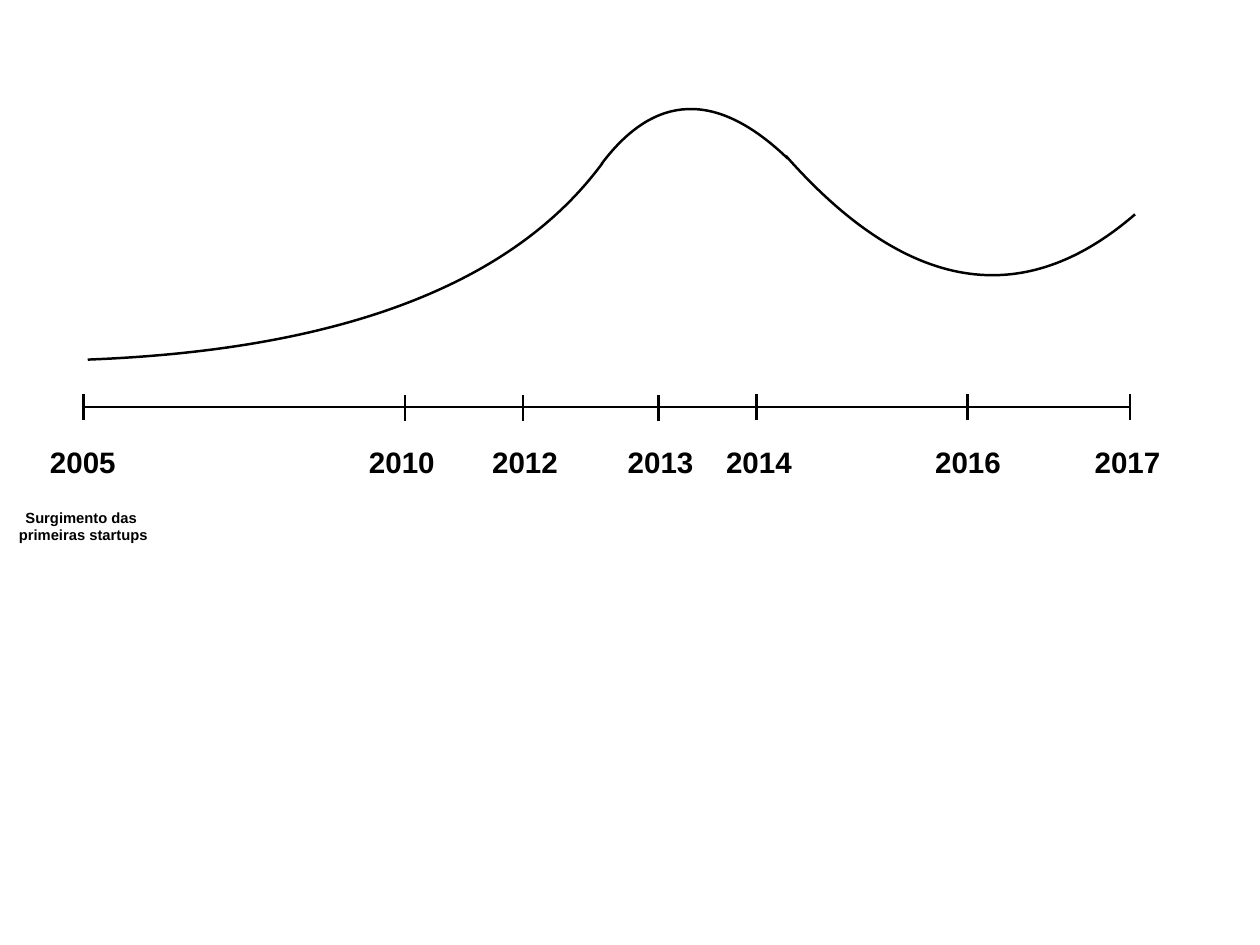
from lxml import etree
from pptx import Presentation
from pptx.dml.color import RGBColor
from pptx.enum.shapes import MSO_CONNECTOR
from pptx.enum.text import MSO_ANCHOR, MSO_AUTO_SIZE, PP_ALIGN
from pptx.oxml.ns import qn
from pptx.util import Inches, Pt

STRAIGHT = MSO_CONNECTOR.STRAIGHT
MIDDLE = MSO_ANCHOR.MIDDLE
CENTER = PP_ALIGN.CENTER
GROW = MSO_AUTO_SIZE.SHAPE_TO_FIT_TEXT

SLIDE_WIDTH, SLIDE_HEIGHT = 14.22, 10.67
INK = "000000"
EXTENT_STEPS = 48
FRAME_FORMAT = {
    "word_wrap": False,
    "auto_size": GROW,
    "vertical_anchor": MIDDLE,
    "margin_left": Inches(0.06),
    "margin_right": Inches(0.06),
    "margin_top": Inches(0.06),
    "margin_bottom": Inches(0.06),
}

CURVE_BOX = (0.99, 1.23, 11.82, 2.83)
CURVE_PIECES = [
    [(5.81, 0.61), (4.81, 1.97), (2.88, 2.72), (0, 2.83)],
    [(5.8, 0.62), (6.4, -0.18), (7.1, -0.21), (7.9, 0.56)],
    [(11.82, 1.19), (10.55, 2.29), (9.24, 2.07), (7.88, 0.53)],
]

AXIS_BOX = (0.94, 4.45, 11.81, 0.29)
LABEL_BOX = (0.5, 4.96, 0.87, 0.5)
NOTE_BOX = (0.15, 5.68, 1.58, 0.52)
YEARS = [
    ("2005", 0, 0, 0),
    ("2010", 3.63, 0.01, 3.6),
    ("2012", 4.96, 0.01, 4.99),
    ("2013", 6.49, 0.01, 6.52),
    ("2014", 7.6, 0, 7.63),
    ("2016", 9.98, 0, 9.99),
    ("2017", 11.81, 0, 11.79),
]
NOTE_LINES = ["Surgimento das ", "primeiras startups"]


def color(value):
    """Turn a hex string into a colour."""
    return RGBColor.from_string(value)


def style_line(shape):
    """Give an outline the slide's ink and weight."""
    shape.line.color.rgb = color(INK)
    shape.line.width = Pt(2)


def add_line(slide, start, end):
    """Draw a straight line without a shadow."""
    points = [Inches(value) for value in (*start, *end)]
    connector = slide.shapes.add_connector(STRAIGHT, *points)
    style_line(connector)
    etree.SubElement(connector._element.spPr, qn("a:effectLst"))


def add_text(slide, box, lines, size):
    """Place centred bold lines in a text box."""
    frame = slide.shapes.add_textbox(*map(Inches, box)).text_frame
    for name, value in FRAME_FORMAT.items():
        setattr(frame, name, value)
    frame.text = "\n".join(lines)
    font_format = {"name": "Arial", "size": Pt(size), "bold": True}
    for paragraph in frame.paragraphs:
        paragraph.alignment = CENTER
        font = paragraph.runs[0].font
        font.color.rgb = color(INK)
        for name, value in font_format.items():
            setattr(font, name, value)


def bezier_point(controls, share):
    """Return the point at a share of a cubic curve."""
    rest = 1 - share
    weights = (rest**3, 3 * rest**2 * share, 3 * rest * share**2, share**3)
    return [
        round(sum(weight * value for weight, value in zip(weights, axis)))
        for axis in zip(*controls)
    ]


def add_bezier(shapes, controls):
    """Draw one cubic segment in a shape that fits its extent."""
    points = [
        bezier_point(controls, step / EXTENT_STEPS)
        for step in range(EXTENT_STEPS + 1)
    ]
    builder = shapes.build_freeform(*points[0])
    builder.add_line_segments(points[1:], close=False)
    shape = builder.convert_to_shape()
    outline = next(shape._element.iter(qn("a:path")))
    for segment in outline.findall(qn("a:lnTo")):
        outline.remove(segment)
    cubic = etree.SubElement(outline, qn("a:cubicBezTo"))
    for x, y in controls[1:]:
        point = etree.SubElement(cubic, qn("a:pt"))
        point.set("x", str(x - shape.left))
        point.set("y", str(y - shape.top))
    shape.shadow.inherit = False
    shape.fill.background()
    style_line(shape)


def add_curve(slide, box, pieces):
    """Draw the grouped growth curve inside the box."""
    left, top = box[:2]
    group = slide.shapes.add_group_shape()
    for piece in pieces:
        controls = [(Inches(left + x), Inches(top + y)) for x, y in piece]
        add_bezier(group.shapes, controls)


def add_axis(slide, box, years):
    """Draw the time axis with a tick for each year."""
    left, top, width, height = box
    middle = top + height / 2
    add_line(slide, (left, middle), (left + width, middle))
    for _, tick, drop, _ in years:
        x, y = left + tick, top + drop
        add_line(slide, (x, y + height), (x, y))


def add_labels(slide, box, years):
    """Write the years, offset from the first label's box."""
    left, top, width, height = box
    for year, _, _, offset in years:
        add_text(slide, (left + offset, top, width, height), [year], 24)


def main():
    """Build and save the timeline slide."""
    presentation = Presentation()
    presentation.slide_width = Inches(SLIDE_WIDTH)
    presentation.slide_height = Inches(SLIDE_HEIGHT)
    slide = presentation.slides.add_slide(presentation.slide_layouts[6])
    add_curve(slide, CURVE_BOX, CURVE_PIECES)
    add_axis(slide, AXIS_BOX, YEARS)
    add_labels(slide, LABEL_BOX, YEARS)
    add_text(slide, NOTE_BOX, NOTE_LINES, 12)
    presentation.save("out.pptx")


if __name__ == "__main__":
    main()
